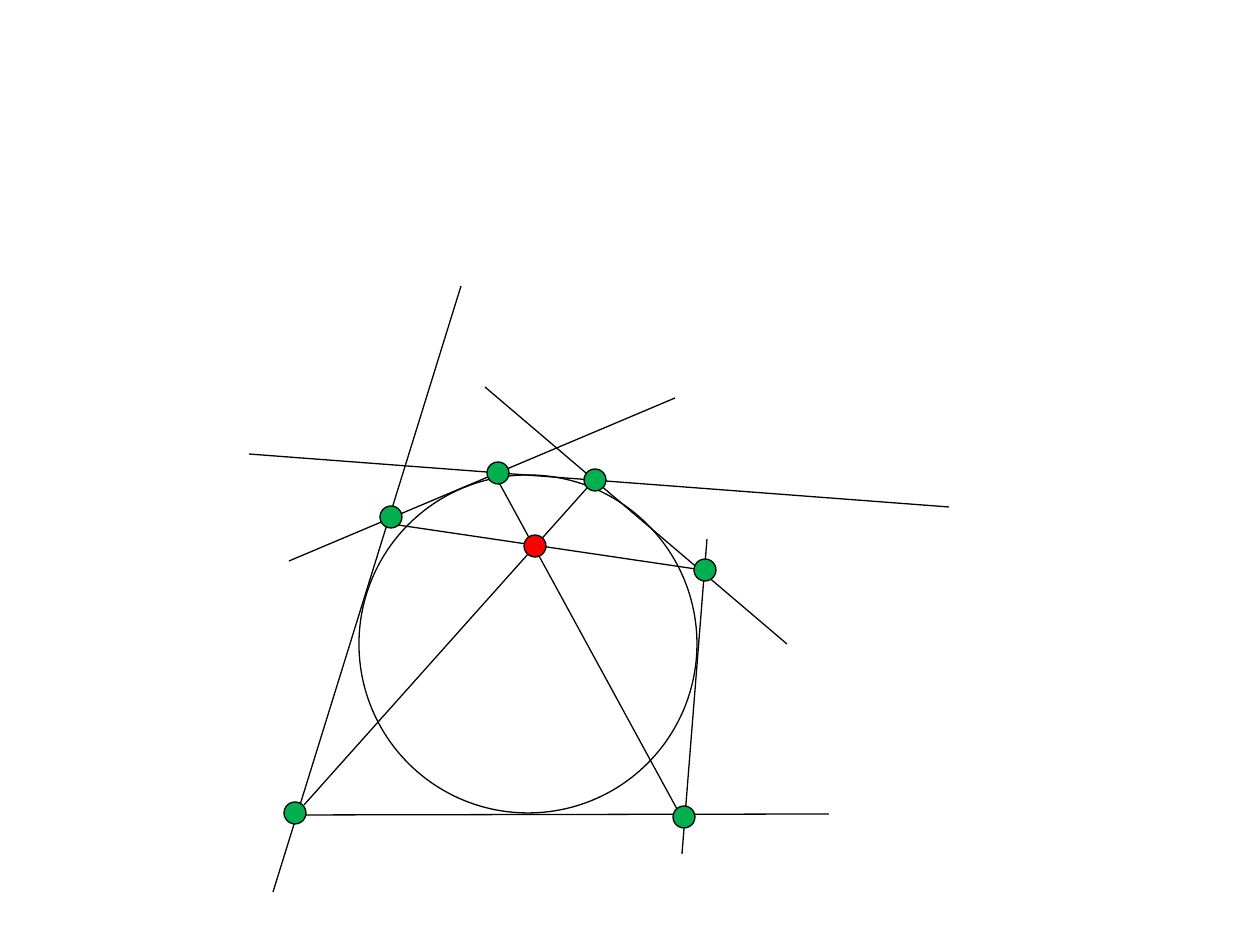
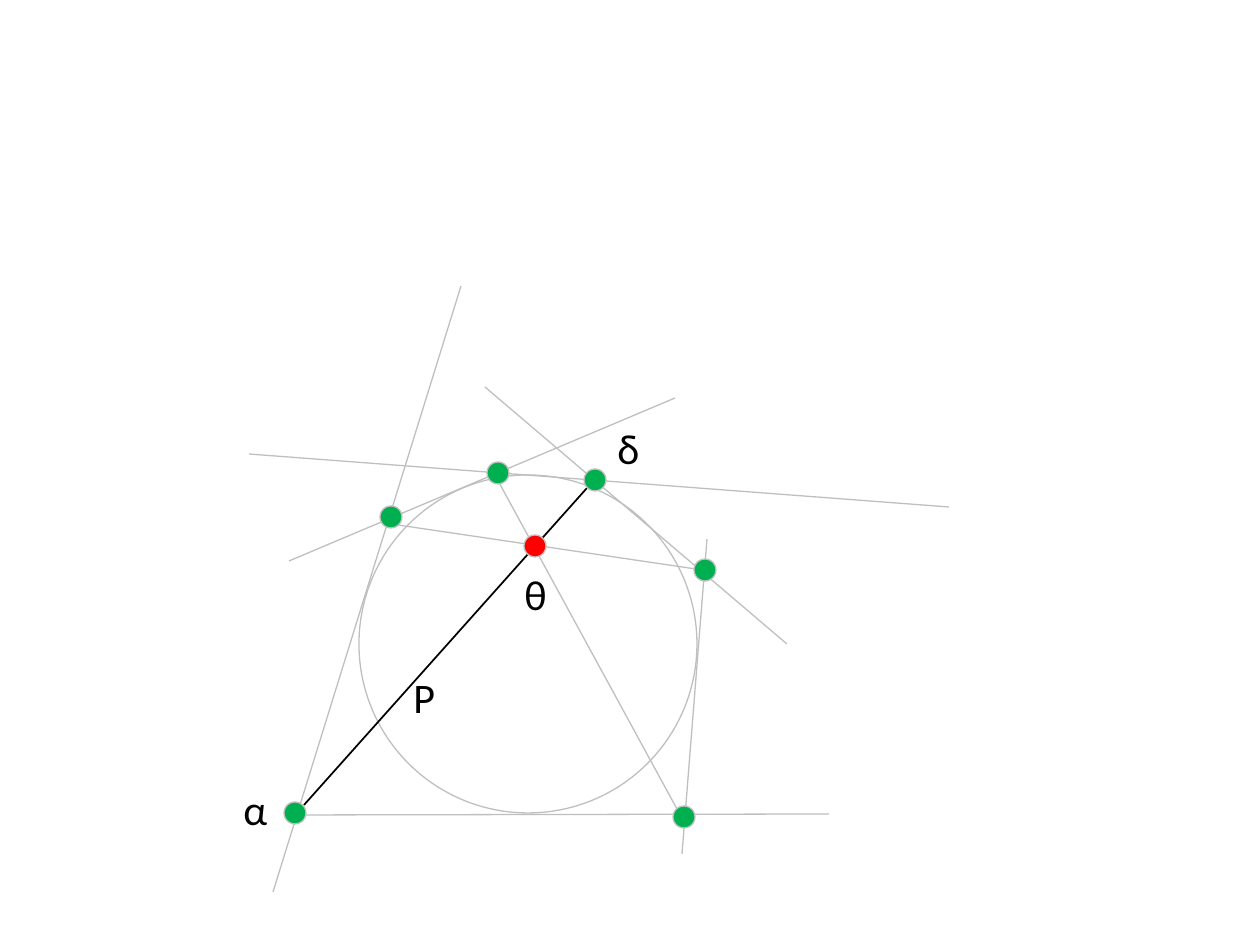
from typing import NamedTuple

from lxml import etree
from pptx import Presentation
from pptx import util as u
from pptx.dml.color import RGBColor
from pptx.enum import shapes, text
from pptx.oxml.ns import qn

PIXELS_PER_INCH = 126
COLOURS = {"black": "000000", "grey": "BFBFBF", "green": "00B050", "red": "FF0000"}
FONT = "Calibri"
DOT_SIZE = 22
LABEL_WIDTH, LABEL_HEIGHT = 48, 63


class Segment(NamedTuple):
    x1: int
    y1: int
    x2: int
    y2: int


class Dot(NamedTuple):
    x: int  # centre
    y: int
    colour: str = "green"


class Label(NamedTuple):
    letter: str
    left: int
    top: int


# Geometry shared by both slides
CIRCLE = (359, 475, 338)  # left, top, diameter
TANGENTS = [
    Segment(829, 814, 286, 815),
    Segment(707, 539, 682, 854),
    Segment(485, 387, 787, 644),
    Segment(249, 454, 949, 507),
    Segment(675, 398, 289, 561),
    Segment(461, 286, 273, 892),
]
DIAGONAL_P = Segment(587, 488, 304, 805)
OTHER_DIAGONALS = [Segment(398, 525, 716, 572), Segment(490, 466, 677, 809)]
DOTS = [
    Dot(595, 480),
    Dot(684, 817),
    Dot(295, 813),
    Dot(705, 570),
    Dot(498, 473),
    Dot(391, 517),
    Dot(535, 546, "red"),
]
LABELS = [
    Label("P", 401, 665),
    Label("α", 231, 777),
    Label("δ", 605, 416),
    Label("θ", 512, 562),
]


def px(pixels: int) -> int:
    return round(pixels * u.Inches(1) / PIXELS_PER_INCH)


def rgb(name: str) -> RGBColor:
    return RGBColor.from_string(COLOURS[name])


def add_line(slide, segment: Segment, colour: str, width: float = 0.75) -> None:
    line = slide.shapes.add_connector(
        shapes.MSO_CONNECTOR.STRAIGHT, *(px(value) for value in segment))
    line.line.color.rgb = rgb(colour)
    line.line.width = u.Pt(width)
    etree.SubElement(line._element.spPr, qn("a:effectLst"))


def add_circle(slide, left: int, top: int, diameter: int, outline: str,
               fill: str | None = None) -> None:
    shape = slide.shapes.add_shape(
        shapes.MSO_SHAPE.OVAL, px(left), px(top), px(diameter), px(diameter))
    shape.shadow.inherit = False
    if fill:
        shape.fill.solid()
        shape.fill.fore_color.rgb = rgb(fill)
    else:
        shape.fill.background()
    shape.line.color.rgb = rgb(outline)
    shape.line.width = u.Pt(0.75)


def add_text(slide, content: str, *, left: int, top: int, size: int = 24,
             colour: str = "black") -> None:
    box = slide.shapes.add_textbox(px(left), px(top), px(LABEL_WIDTH), px(LABEL_HEIGHT))
    frame = box.text_frame
    frame.word_wrap = False
    frame.auto_size = text.MSO_AUTO_SIZE.SHAPE_TO_FIT_TEXT
    run = frame.paragraphs[0].add_run()
    run.text = content
    run.font.name = FONT
    run.font.size = u.Pt(size)
    run.font.color.rgb = rgb(colour)


def add_figure(presentation, outline: str, diagonal_width: float = 0.75):
    """Hexagon around a circle, with its three diagonals meeting in one point."""
    slide = presentation.slides.add_slide(presentation.slide_layouts[6])
    add_circle(slide, *CIRCLE, outline)
    for segment in TANGENTS + OTHER_DIAGONALS:
        add_line(slide, segment, outline)
    add_line(slide, DIAGONAL_P, "black", diagonal_width)
    for dot in DOTS:
        add_circle(slide, dot.x - DOT_SIZE // 2, dot.y - DOT_SIZE // 2,
                   DOT_SIZE, outline, dot.colour)
    return slide


presentation = Presentation()
presentation.slide_width = u.Inches(10)
presentation.slide_height = u.Inches(7.5)

# Slide 1: the whole figure in black
add_figure(presentation, "black")

# Slide 2: the figure greyed, with one diagonal emphasised and labelled
labelled_slide = add_figure(presentation, "grey", diagonal_width=1)
for label in LABELS:
    add_text(labelled_slide, label.letter, left=label.left, top=label.top)

presentation.save("out.pptx")
